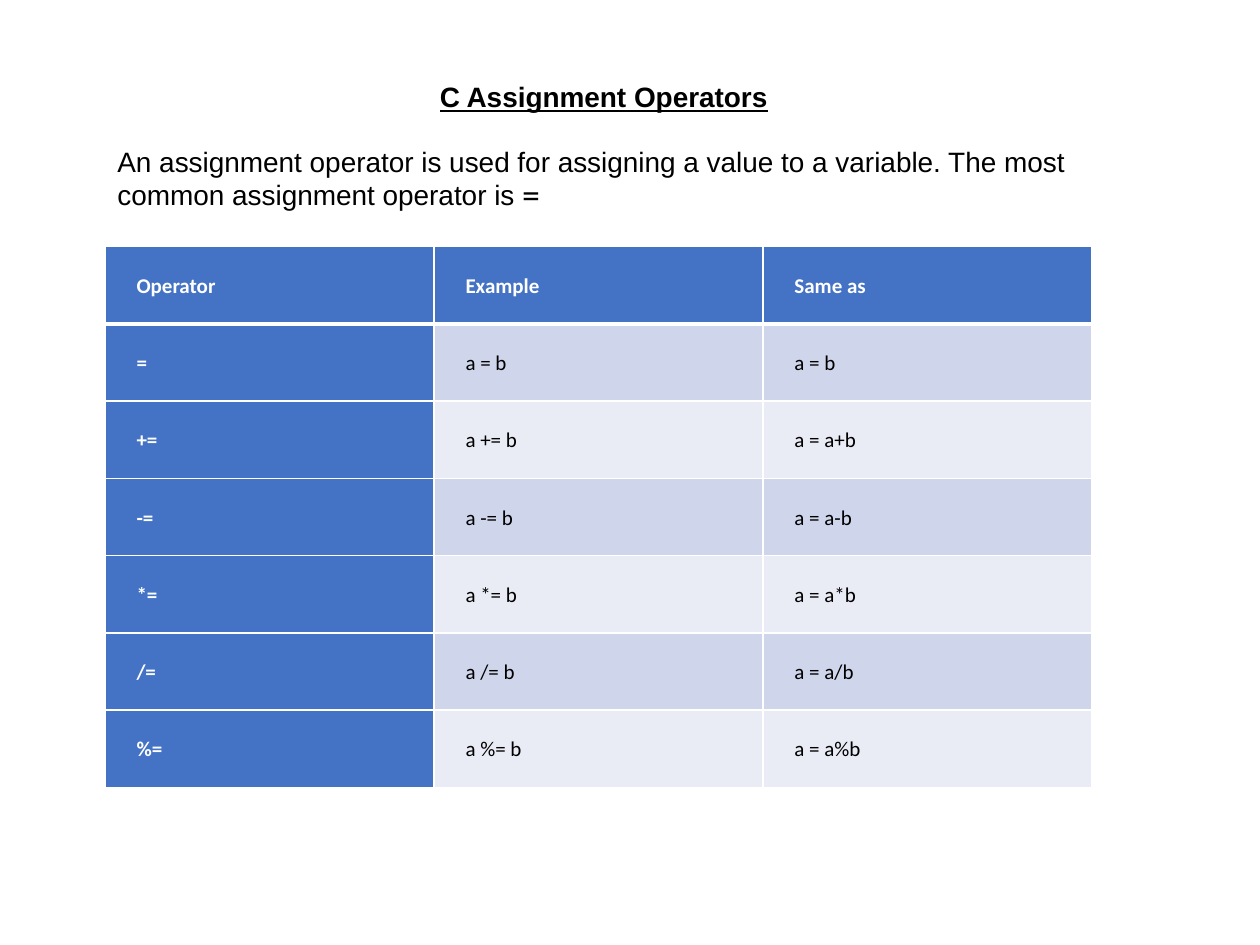
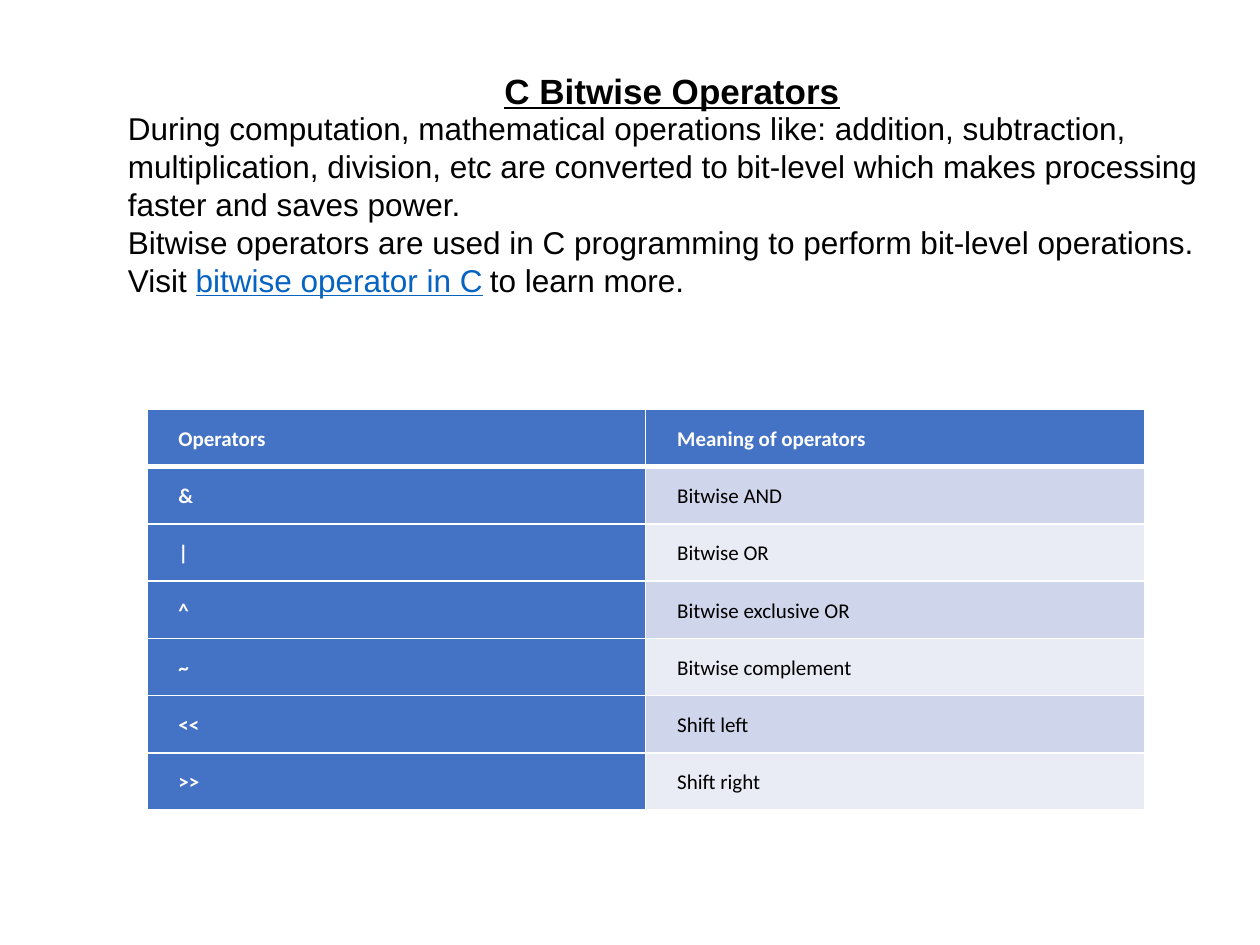
from lxml.etree import SubElement
from pptx import Presentation
from pptx.dml.color import RGBColor
from pptx.enum.text import MSO_ANCHOR, MSO_AUTO_SIZE, PP_ALIGN
from pptx.oxml import parse_xml
from pptx.oxml.ns import nsdecls, qn
from pptx.util import Pt

# Shared look
BLACK, WHITE, LINK = "000000", "FFFFFF", "0563C1"
HEAD_BLUE, BANDS = "4472C4", ("CFD5EA", "E9EBF5")
TEXT_FONT, TABLE_FONT, CODE_FONT = "Arial", "Calibri", "DejaVu Sans Mono"
TITLE_ONLY = 5

ASSIGNMENT_ROWS = [("Operator", "Example", "Same as"), ("=", "a = b", "a = b")] + [
    (f"{sign}=", f"a {sign}= b", f"a = a{sign}b") for sign in "+-*/%"
]
BITWISE_ROWS = [
    ("Operators", "Meaning of operators"),
    ("&", "Bitwise AND"),
    ("|", "Bitwise OR"),
    ("^", "Bitwise exclusive OR"),
    ("~", "Bitwise complement"),
    ("<<", "Shift left"),
    (">>", "Shift right"),
]


def color(value):
    return RGBColor.from_string(value)


def style_font(font, name, size, fill, bold=False):
    font.name, font.size, font.bold = name, Pt(size), bold
    font.color.rgb = color(fill)


def set_title(page, text, box, size):
    title = page.shapes.title
    title.left, title.top, title.width, title.height = (Pt(length) for length in box)
    frame = title.text_frame
    frame.text = text
    frame.word_wrap = True
    frame.auto_size = MSO_AUTO_SIZE.NONE
    frame.vertical_anchor = MSO_ANCHOR.TOP
    para = frame.paragraphs[0]
    para.alignment = PP_ALIGN.CENTER
    style_font(para.font, TEXT_FONT, size, BLACK, bold=True)
    para.font.underline = True


def add_body(page, paragraphs, box, size):
    """Each paragraph is a list of (text, font name, colour) spans."""
    frame = page.shapes.add_textbox(*(Pt(length) for length in box)).text_frame
    frame.word_wrap = True
    for index, spans in enumerate(paragraphs):
        para = frame.add_paragraph() if index else frame.paragraphs[0]
        style_font(para.font, TEXT_FONT, size, BLACK)
        for text, name, fill in spans:
            span = para.add_run()
            span.text = text
            style_font(span.font, name, size, fill)
            span.font.underline = fill == LINK


def set_borders(cell, top, bottom):
    properties = cell._tc.get_or_add_tcPr()
    widths = {"lnL": 1, "lnR": 1, "lnT": top, "lnB": bottom}
    for position, (side, width) in enumerate(widths.items()):
        line = parse_xml(f'<a:{side} {nsdecls("a")} w="{Pt(width)}"/>')
        fill = SubElement(line, qn("a:solidFill"))
        SubElement(fill, qn("a:srgbClr"), val=WHITE)
        properties.insert(position, line)


def fill_cell(cell, text, row, column):
    is_head = row == 0 or column == 0
    cell.fill.solid()
    cell.fill.fore_color.rgb = color(HEAD_BLUE if is_head else BANDS[(row - 1) % 2])
    set_borders(cell, top=3 if row == 1 else 1, bottom=3 if row == 0 else 1)
    cell.margin_left = cell.margin_right = Pt(18)
    cell.margin_top = cell.margin_bottom = Pt(8.64)
    cell.vertical_anchor = MSO_ANCHOR.MIDDLE
    cell.text = text
    para = cell.text_frame.paragraphs[0]
    para.line_spacing, para.space_after = 1.07, Pt(8)
    style_font(para.font, TABLE_FONT, 12, WHITE if is_head else BLACK, bold=is_head)


def add_operator_table(page, rows, box):
    left, top, width, height = box
    table = page.shapes.add_table(
        len(rows), len(rows[0]), Pt(left), Pt(top), Pt(width), Pt(height)
    ).table
    table.first_col = True
    for column in table.columns:
        column.width = Pt(width / len(rows[0]))
    for row, texts in enumerate(rows):
        table.rows[row].height = Pt(height / len(rows))
        for column, text in enumerate(texts):
            fill_cell(table.cell(row, column), text, row, column)


def add_operator_page(deck, title, title_size, paragraphs, body_size, text_box, body_drop, rows, table_box):
    """Title and body share a text box; the body starts body_drop below its top."""
    page = deck.slides.add_slide(deck.slide_layouts[TITLE_ONLY])
    left, top, width, height = text_box
    set_title(page, title, (left, top, width, title_size * 1.15 + 7.2), title_size)
    add_body(page, paragraphs, (left, top + body_drop, width, height - body_drop), body_size)
    add_operator_table(page, rows, table_box)


def plain(text):
    return (text, TEXT_FONT, BLACK)


def main():
    deck = Presentation()
    deck.slide_width, deck.slide_height = Pt(720), Pt(540)

    # Assignment operators
    add_operator_page(
        deck, "C Assignment Operators", 16,
        [[
            plain("An assignment operator is used for assigning a value to a variable. "
                  "The most common assignment operator is "),
            ("=", CODE_FONT, BLACK),
        ]],
        16, (60, 42, 570, 99), 36.8,
        ASSIGNMENT_ROWS, (60, 141, 564, 309),
    )

    # Bitwise operators
    add_operator_page(
        deck, "C Bitwise Operators", 20,
        [
            [plain("During computation, mathematical operations like: addition, subtraction, "
                   "multiplication, division, etc are converted to bit-level which makes "
                   "processing faster and saves power.")],
            [plain("Bitwise operators are used in C programming to perform bit-level operations.")],
            [plain("Visit "), ("bitwise operator in C", TEXT_FONT, LINK),
             (" ", TABLE_FONT, BLACK), plain("to learn more.")],
        ],
        18, (66, 36, 636, 170), 23,
        BITWISE_ROWS, (84, 234, 570, 229),
    )

    deck.save("out.pptx")


if __name__ == "__main__":
    main()
